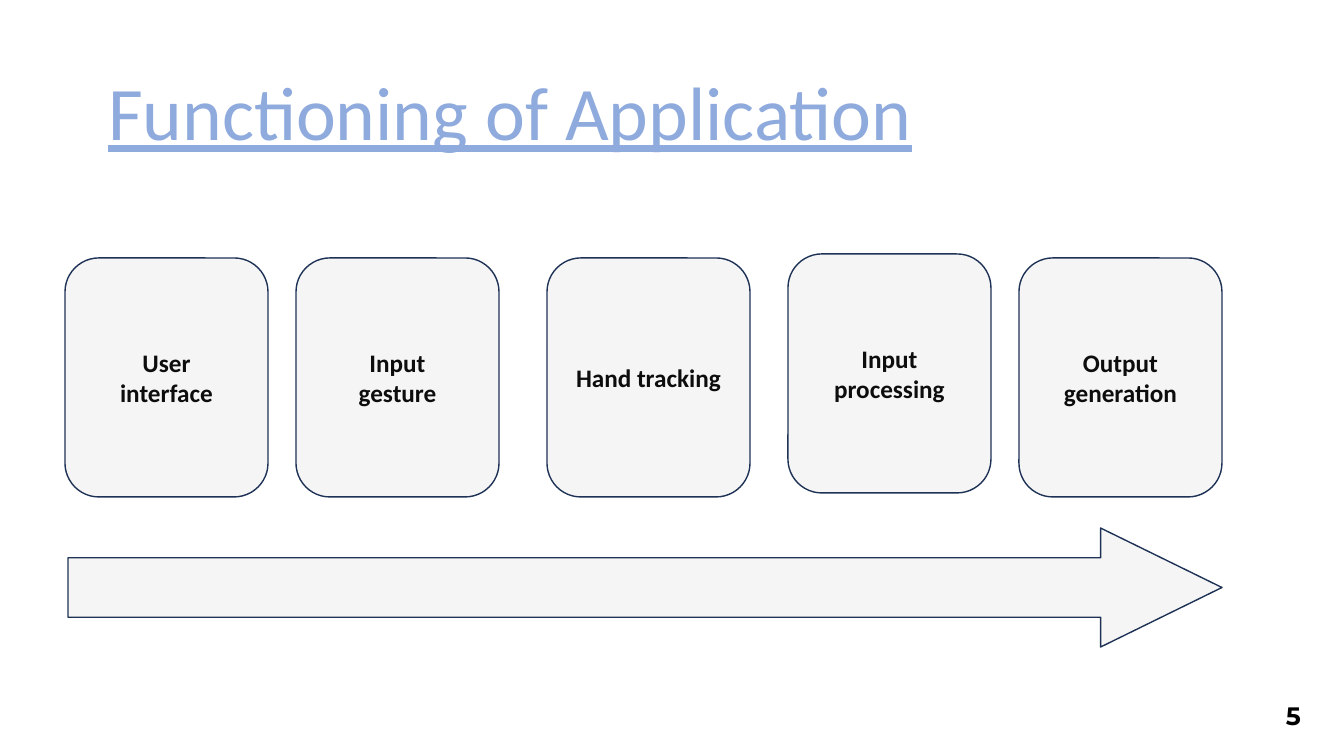
from pptx import Presentation
from pptx.dml.color import RGBColor
from pptx.enum.shapes import MSO_SHAPE as Shape
from pptx.enum.text import MSO_ANCHOR as Anchor, MSO_AUTO_SIZE as AutoSize, PP_ALIGN as Align
from pptx.util import Pt

SCALE = 914400 / 100.8
COLORS = {
    "title": "8FAADC",
    "fill": "F5F5F5",
    "line": "1E3256",
    "text": "0D0D0D",
    "number": "000000",
}
STEPS = [
    (0, 4, "User\ninterface"),
    (231, 4, "Input\ngesture"),
    (482, 4, "Hand tracking"),
    (723, 0, "Input processing"),
    (954, 4, "Output generation"),
]
STEP_WIDTH, STEP_HEIGHT = 203, 239


def px(length):
    return round(length * SCALE)


def color(name):
    return RGBColor.from_string(COLORS[name])


def write(frame, text, size, color_name, font="Calibri", bold=False, underline=False, align=Align.LEFT):
    frame.text = text
    frame.word_wrap = True
    for para in frame.paragraphs:
        para.alignment = align
        for span in para.runs:
            span.font.name = font
            span.font.size = Pt(size)
            span.font.bold = bold
            span.font.underline = underline
            span.font.color.rgb = color(color_name)


def add_outlined(page, kind, box):
    shape = page.shapes.add_shape(kind, *map(px, box))
    shape.shadow.inherit = False
    shape.fill.solid()
    shape.fill.fore_color.rgb = color("fill")
    shape.line.color.rgb = color("line")
    shape.line.width = Pt(1)
    return shape


def add_title(page, box):
    title = page.shapes.title
    title.left, title.top, title.width, title.height = map(px, box)
    write(title.text_frame, "Functioning of Application", 54, "title", underline=True)
    title.text_frame.auto_size = AutoSize.NONE
    title.text_frame.vertical_anchor = Anchor.TOP


def add_steps(page, left, top):
    for across, down, label in STEPS:
        step = add_outlined(page, Shape.ROUNDED_RECTANGLE, (left + across, top + down, STEP_WIDTH, STEP_HEIGHT))
        write(step.text_frame, label, 18, "text", bold=True, align=Align.CENTER)
        step.text_frame.vertical_anchor = Anchor.MIDDLE


def add_flow_arrow(page, box):
    arrow = add_outlined(page, Shape.RIGHT_ARROW, box)
    arrow.adjustments[0] = 0.5
    arrow.adjustments[1] = 1.02


def add_page_number(page, box):
    number = page.shapes.add_textbox(*map(px, box))
    write(number.text_frame, "5", 18, "number", font="Montserrat", bold=True)


def main():
    deck = Presentation()
    deck.slide_width, deck.slide_height = px(1344), px(756)
    page = deck.slides.add_slide(deck.slide_layouts[5])
    add_title(page, (98, 60, 1228, 102))
    add_steps(page, 65, 254)
    add_flow_arrow(page, (68, 528, 1154, 119))
    add_page_number(page, (1276, 695, 49, 40))
    deck.save("out.pptx")


if __name__ == "__main__":
    main()
